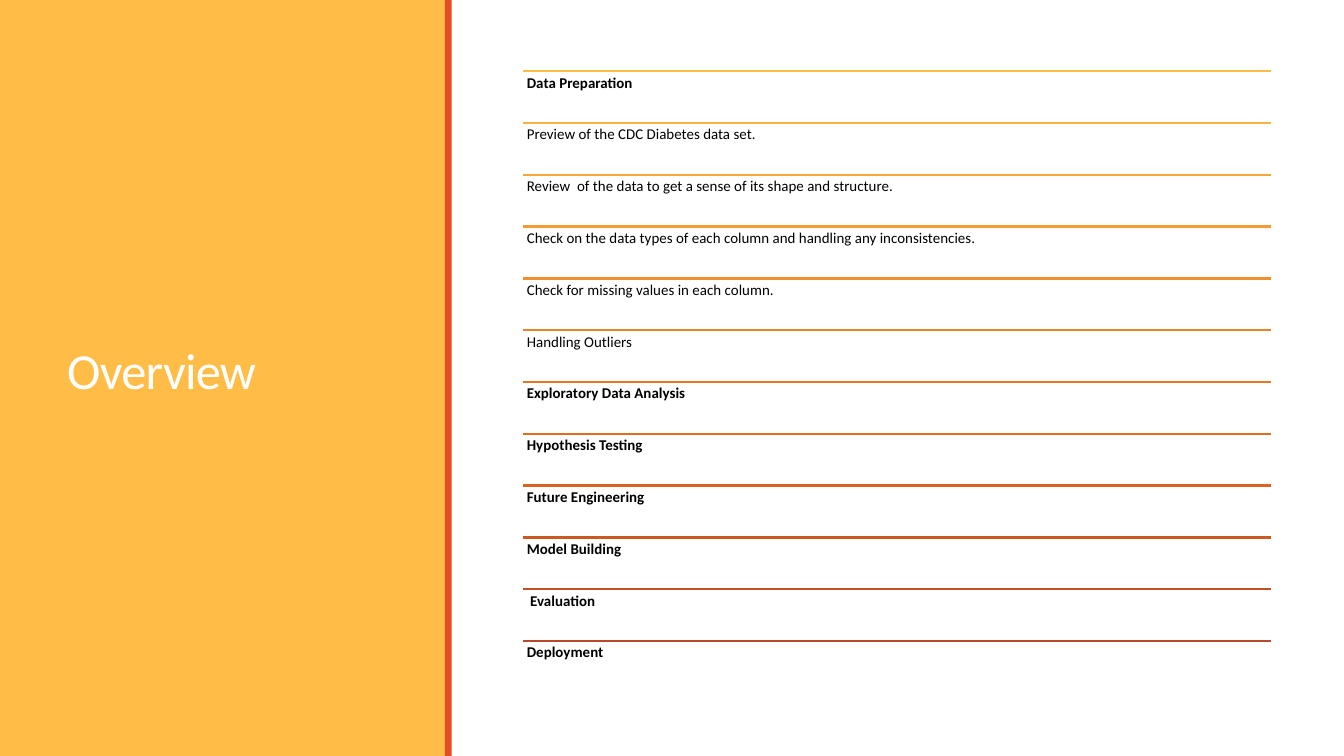
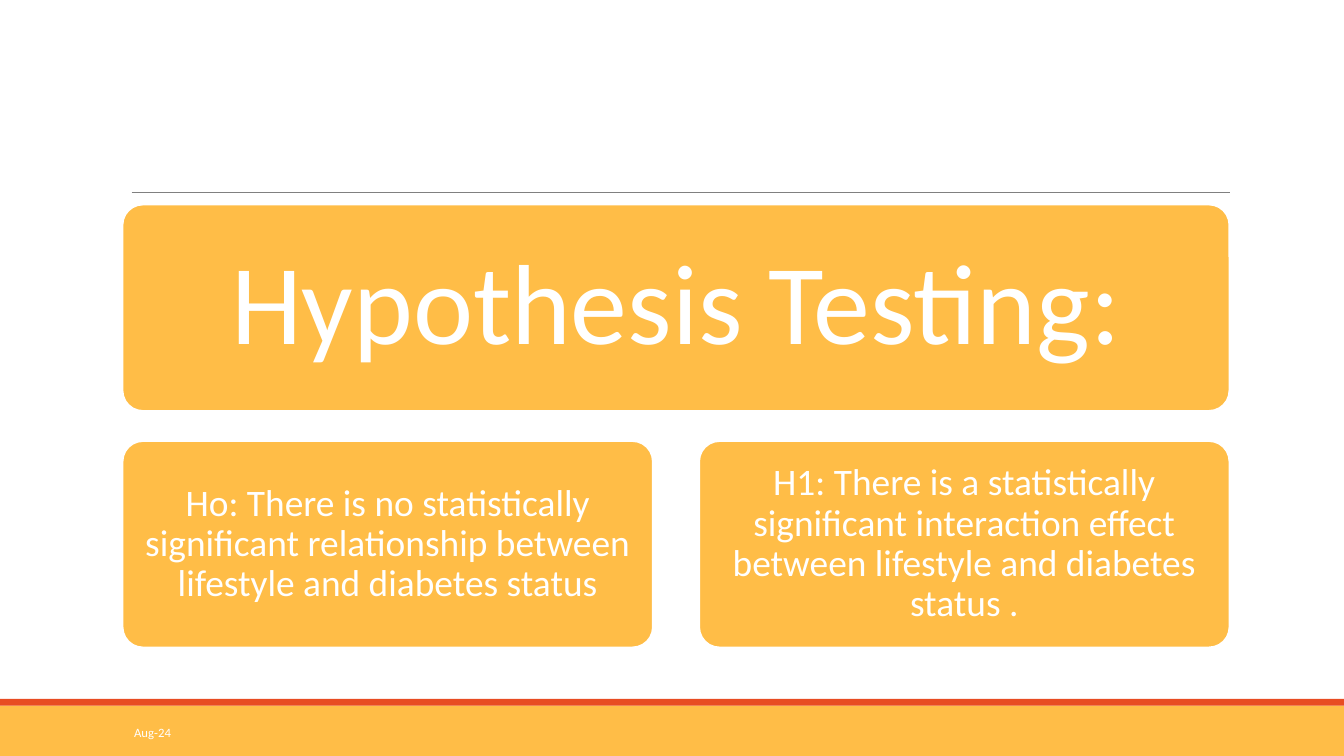
from lxml import etree
from pptx import Presentation
from pptx.dml.color import RGBColor
from pptx.enum.shapes import MSO_CONNECTOR, MSO_SHAPE
from pptx.enum.text import MSO_ANCHOR, MSO_AUTO_SIZE, PP_ALIGN
from pptx.oxml.ns import qn
from pptx.util import Inches, Pt

RECT, ROUNDED = MSO_SHAPE.RECTANGLE, MSO_SHAPE.ROUNDED_RECTANGLE
TOP, MIDDLE = MSO_ANCHOR.TOP, MSO_ANCHOR.MIDDLE
LEFT, CENTER = PP_ALIGN.LEFT, PP_ALIGN.CENTER
TITLE_ONLY = 5

FONT = "Calibri"
AMBER, RED, GREY = "FFBD47", "E84C22", "808080"
WHITE, BLACK = "FFFFFF", "000000"
WIDTH = 10
HEIGHT = WIDTH * 9 / 16

OVERVIEW_TITLE = "Overview"
TOPICS = [  # text, bold, rule colour
    ("Data Preparation", True, "FFBD47"),
    ("Preview of the CDC Diabetes data set.", False, "FCB240"),
    ("Review  of the data to get a sense of its shape and structure.", False, "F9A63A"),
    ("Check on the data types of each column and handling any inconsistencies.",
     False, "F59B34"),
    ("Check for missing values in each column.", False, "F18F2E"),
    ("Handling Outliers", False, "ED8329"),
    ("Exploratory Data Analysis", True, "E87724"),
    ("Hypothesis Testing", True, "E36B1F"),
    ("Future Engineering", True, "DA611F"),
    ("Model Building", True, "CD5822"),
    (" Evaluation", True, "C25024"),
    ("Deployment", True, "B64926"),
]

TESTING_TITLE = "Hypothesis Testing:"
HYPOTHESES = [
    "Ho: There is no statistically significant relationship between lifestyle "
    "and diabetes status",
    "H1: There is a statistically significant interaction effect between lifestyle "
    "and diabetes status .",
]
DATE = "Aug-24"


def rgb(color):
    return RGBColor.from_string(color)


def box(x, y, w, h):
    return [Inches(v) for v in (x, y, w, h)]


def write(sp, text, size, color=WHITE, bold=False, align=LEFT, anchor=MIDDLE,
          spacing=0.9, inset=(0.1, 0.05), tracking=None):
    """Fill sp with one formatted paragraph; inset is (horizontal, vertical)."""
    tf = sp.text_frame
    tf.word_wrap = True
    tf.auto_size = MSO_AUTO_SIZE.NONE
    tf.vertical_anchor = anchor
    tf.margin_left = tf.margin_right = Inches(inset[0])
    tf.margin_top = tf.margin_bottom = Inches(inset[1])
    p = tf.paragraphs[0]
    p.alignment, p.line_spacing = align, spacing
    r = p.add_run()
    r.text = text
    r.font.name, r.font.size, r.font.bold = FONT, Pt(size), bold
    r.font.color.rgb = rgb(color)
    if tracking:
        r.font._element.set("spc", str(round(tracking * 100)))


def add_text(s, text, at, size, **fmt):
    write(s.shapes.add_textbox(*box(*at)), text, size, **fmt)


def add_title(s, text, at, size, **fmt):
    """Place the title placeholder in front of the shapes drawn so far."""
    title = s.shapes.title
    title.left, title.top, title.width, title.height = box(*at)
    s.shapes._spTree.append(title._element)
    write(title, text, size, **fmt)


def add_block(s, at, color, kind=RECT):
    sp = s.shapes.add_shape(kind, *box(*at))
    sp.shadow.inherit = False
    sp.fill.solid()
    sp.fill.fore_color.rgb = rgb(color)
    sp.line.fill.background()
    return sp


def add_card(s, at):
    sp = add_block(s, at, AMBER, ROUNDED)
    sp.adjustments[0] = 0.1
    sp.line.color.rgb = rgb(WHITE)
    sp.line.width = Pt(1.25)
    return sp


def add_rule(s, x1, x2, y, color, width):
    line = s.shapes.add_connector(
        MSO_CONNECTOR.STRAIGHT, Inches(x1), Inches(y), Inches(x2), Inches(y))
    line.line.color.rgb = rgb(color)
    line.line.width = Pt(width)
    etree.SubElement(line._element.spPr, qn("a:effectLst"))


def add_slide(prs, panel, stripe):
    """Add a slide with its amber panel and the red stripe along it."""
    s = prs.slides.add_slide(prs.slide_layouts[TITLE_ONLY])
    add_block(s, panel, AMBER)
    add_block(s, stripe, RED)
    return s


def overview_slide(prs):
    s = add_slide(prs, (0, 0, 3.32, HEIGHT), (3.31, 0, 0.05, HEIGHT))
    add_title(s, OVERVIEW_TITLE, (0.4, 0.42, 2.53, 4.73), 27,
              spacing=0.85, tracking=-0.4)
    left, right, first, last = 3.89, 9.46, 0.53, 4.77
    pitch = (last - first) / (len(TOPICS) - 1)
    for i, (text, bold, color) in enumerate(TOPICS):
        y = first + i * pitch
        add_rule(s, left, right, y, color, 1.25)
        add_text(s, text, (left, y, right - left, pitch), 8, color=BLACK,
                 bold=bold, anchor=TOP, inset=(0.03, 0.03))


def testing_slide(prs):
    s = add_slide(prs, (0, 5.25, WIDTH, HEIGHT - 5.25), (0, 5.2, WIDTH, 0.05))
    add_rule(s, 0.98, 9.15, 1.43, GREY, 0.5)
    add_text(s, DATE, (0.9, 5.3, 2.03, 0.3), 6.8, spacing=1.0)

    left, top, full, height = 0.91, 1.52, 8.24, 1.54
    card_w, row_pitch = 3.95, 1.76
    heading = (left, top, full, height)
    add_card(s, heading)
    add_title(s, TESTING_TITLE, heading, 61, align=CENTER, inset=(0.3, 0.3))
    col_pitch = (full - card_w) / (len(HYPOTHESES) - 1)
    for i, text in enumerate(HYPOTHESES):
        card = add_card(s, (left + i * col_pitch, top + row_pitch, card_w, height))
        write(card, text, 20, align=CENTER, inset=(0.08, 0.08))


def main():
    prs = Presentation()
    prs.slide_width, prs.slide_height = Inches(WIDTH), Inches(HEIGHT)
    overview_slide(prs)
    testing_slide(prs)
    prs.save("out.pptx")


if __name__ == "__main__":
    main()
